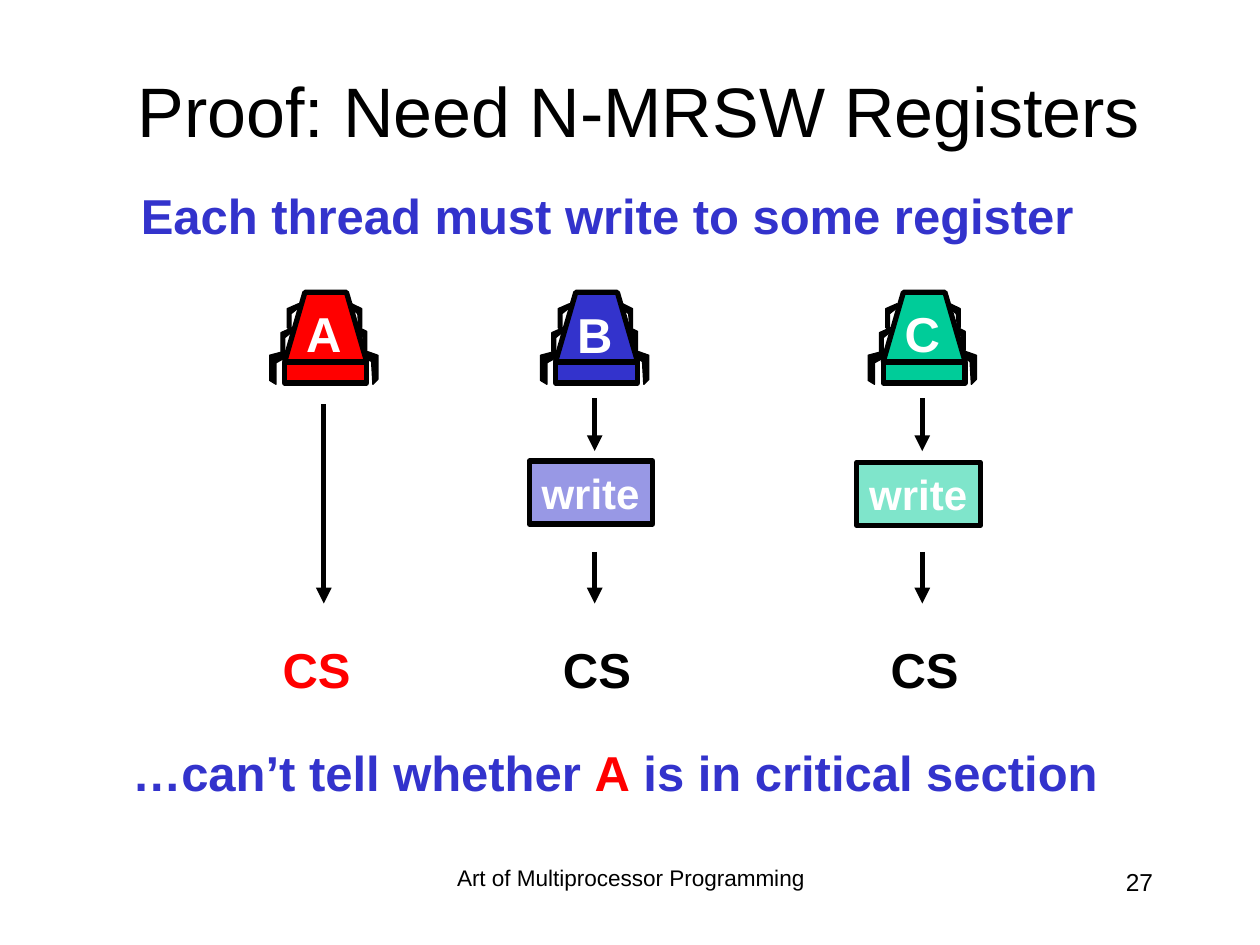
from lxml import etree
from pptx import Presentation
from pptx.dml.color import RGBColor
from pptx.enum import shapes, text
from pptx.oxml.ns import qn
from pptx.util import Inches, Pt

BLACK, WHITE, RED, BLUE, GREEN = "000000", "FFFFFF", "FF0000", "3333CC", "00CC99"
LEFT, CENTER, RIGHT = text.PP_ALIGN.LEFT, text.PP_ALIGN.CENTER, text.PP_ALIGN.RIGHT


def paint(shape, fill, line_width):
    shape.shadow.inherit = False
    shape.fill.solid()
    shape.fill.fore_color.rgb = RGBColor.from_string(fill)
    shape.line.color.rgb = RGBColor.from_string(BLACK)
    shape.line.width = Pt(line_width)


def write_text(shape, runs, size, align, bold=True, wrap=False):
    frame = shape.text_frame
    frame.word_wrap = wrap
    frame.vertical_anchor = text.MSO_ANCHOR.TOP
    paragraph = frame.paragraphs[0]
    paragraph.alignment = align
    for words, color in runs:
        run = paragraph.add_run()
        run.text = words
        run.font.name = "Arial"
        run.font.size = Pt(size)
        run.font.bold = bold
        run.font.color.rgb = RGBColor.from_string(color)
    return frame


presentation = Presentation()
presentation.slide_width = Inches(10)
presentation.slide_height = Inches(7.5)
slide = presentation.slides.add_slide(presentation.slide_layouts[6])

footer = slide.shapes.add_textbox(Inches(3.42), Inches(6.83), Inches(3.17), Inches(0.5))
frame = write_text(footer, [("Art of Multiprocessor Programming", BLACK)], 12.9, CENTER, False, True)
frame.paragraphs[0].line_spacing = 0.9

number = slide.shapes.add_textbox(Inches(7.17), Inches(6.83), Inches(2.08), Inches(0.5))
write_text(number, [("27", BLACK)], 14, RIGHT, False, True)

title = slide.shapes.add_textbox(Inches(0.67), Inches(0.24), Inches(8.8), Inches(1.25))
frame = write_text(title, [("Proof: Need N-MRSW Registers", BLACK)], 40, CENTER, False, True)
frame.vertical_anchor = text.MSO_ANCHOR.MIDDLE

claim = slide.shapes.add_textbox(Inches(1.02), Inches(1.42), Inches(8.1), Inches(0.57))
write_text(claim, [("Each thread must write to some register", BLUE)], 28, LEFT, wrap=True)

conclusion = slide.shapes.add_textbox(Inches(0.93), Inches(5.84), Inches(8.01), Inches(0.57))
conclusion_runs = [("…can’t tell whether ", BLUE), ("A", RED), (" is in critical section ", BLUE)]
write_text(conclusion, conclusion_runs, 28, CENTER, wrap=True)

right_leg = [(0, 0), (0.08, 0.04), (0.08, 0.19), (0.06, 0.22), (0.05, 0.08), (0, 0.04)]
left_leg = [(0, 0), (-0.09, 0.04), (-0.09, 0.19), (-0.06, 0.22), (-0.06, 0.08), (-0.01, 0.04)]
right_foot = [(0, 0), (0.14, 0.05), (0.14, 0.24), (0.1, 0.28), (0.09, 0.1), (0.01, 0.05)]
left_foot = [(0, 0), (-0.15, 0.04), (-0.15, 0.24), (-0.1, 0.27), (-0.1, 0.1), (-0.01, 0.05)]
body = [(0, 0.55), (0.16, 0), (0.49, 0), (0.65, 0.55)]
legs = [
    (0.6, 2.77, right_foot), (0.57, 2.59, right_leg), (0.53, 2.41, right_leg),
    (0.03, 2.78, left_foot), (0.06, 2.6, left_leg), (0.11, 2.41, left_leg),
]

threads = [
    ("A", 2.26, RED, RED, 2.36, 2.14, RIGHT, None, [(3.21, 4.79)]),
    ("B", 4.41, BLUE, BLACK, 2.37, 4.37, LEFT, 3.66, [(3.16, 3.58), (4.38, 4.79)]),
    ("C", 7.01, GREEN, BLACK, 2.36, 6.97, LEFT, 3.67, [(3.16, 3.58), (4.38, 4.79)]),
]
for name, x, color, cs_color, name_top, cs_left, cs_align, write_top, arrows in threads:
    group = slide.shapes.add_group_shape()
    parts = [(dx, top, points, BLACK, 0.75) for dx, top, points in legs]
    parts.append((0, 2.32, body, color, 3))
    for dx, top, points, fill, line_width in parts:
        corners = [(Inches(x + dx + px), Inches(top + py)) for px, py in points]
        builder = group.shapes.build_freeform(*corners[0])
        builder.add_line_segments(corners[1:], close=True)
        paint(builder.convert_to_shape(), fill, line_width)
    base = group.shapes.add_shape(
        shapes.MSO_SHAPE.RECTANGLE, Inches(x), Inches(2.88), Inches(0.65), Inches(0.16))
    paint(base, color, 3)

    label = slide.shapes.add_textbox(Inches(x + 0.07), Inches(name_top), Inches(0.48), Inches(0.57))
    write_text(label, [(name, WHITE)], 28, CENTER)

    if write_top:
        box = slide.shapes.add_shape(
            shapes.MSO_SHAPE.RECTANGLE, Inches(x - 0.21), Inches(write_top), Inches(0.98), Inches(0.5))
        paint(box, color, 3)
        fill_color = box.fill._xPr.find(qn("a:solidFill"))[0]
        etree.SubElement(fill_color, qn("a:alpha")).set("val", "50000")
        write_text(box, [("write", WHITE)], 24, LEFT)

    for top, bottom in arrows:
        arrow = slide.shapes.add_connector(
            shapes.MSO_CONNECTOR.STRAIGHT,
            Inches(x + 0.31), Inches(top), Inches(x + 0.31), Inches(bottom))
        arrow.line.color.rgb = RGBColor.from_string(BLACK)
        arrow.line.width = Pt(3)
        etree.SubElement(arrow.line._get_or_add_ln(), qn("a:tailEnd")).set("type", "triangle")
        etree.SubElement(arrow._element.spPr, qn("a:effectLst"))

    section = slide.shapes.add_textbox(Inches(cs_left), Inches(5.03), Inches(0.74), Inches(0.57))
    write_text(section, [("CS", cs_color)], 28, cs_align)

presentation.save("out.pptx")
